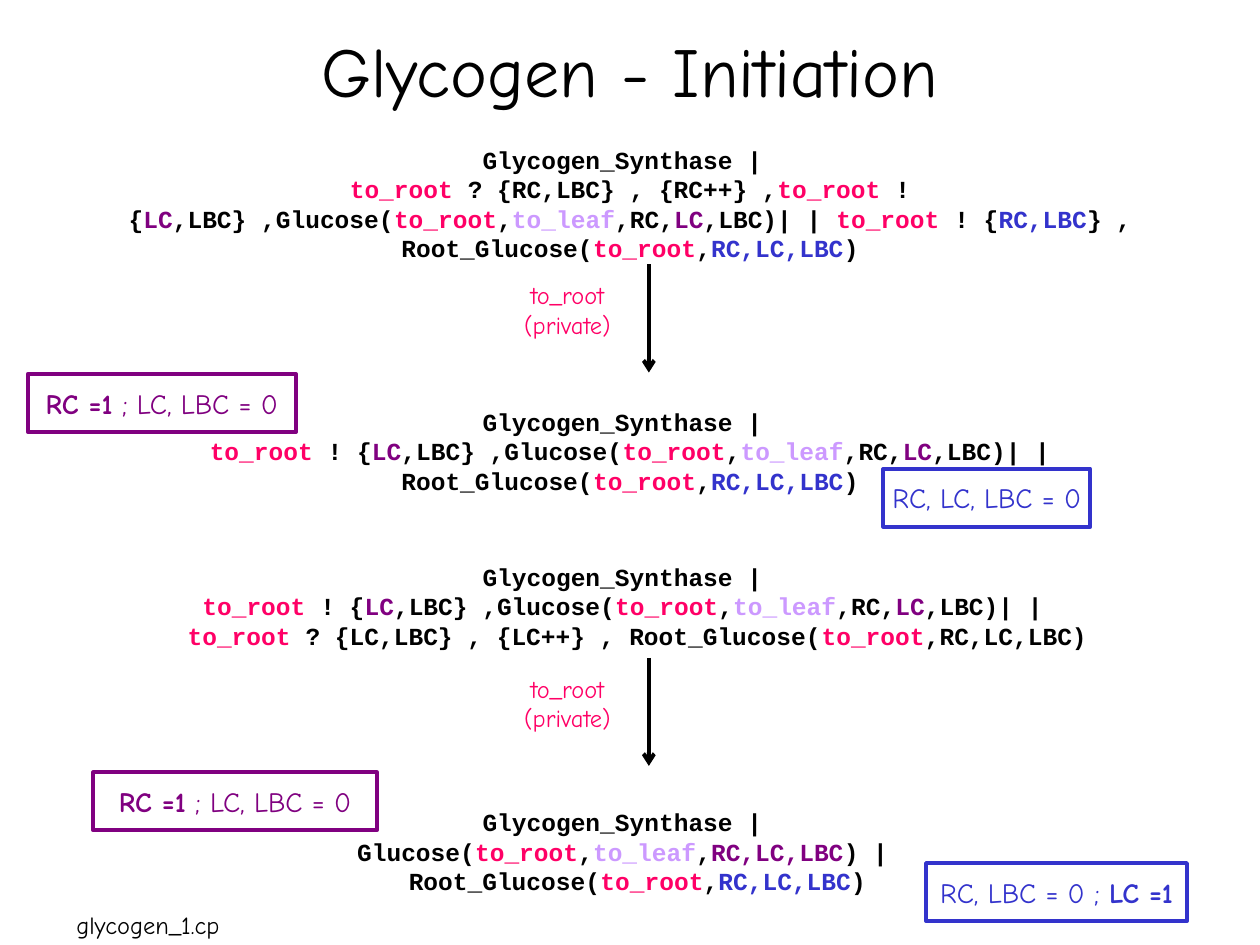
from typing import NamedTuple

from lxml.etree import SubElement
from pptx import Presentation
from pptx.dml.color import RGBColor
from pptx.enum.shapes import MSO_CONNECTOR, MSO_SHAPE
from pptx.enum.text import MSO_ANCHOR, MSO_AUTO_SIZE, PP_ALIGN
from pptx.oxml.ns import qn
from pptx.util import Cm, Pt

BLACK, WHITE = "000000", "FFFFFF"
PINK, PURPLE, LAVENDER, BLUE = "FF0066", "800080", "CC99FF", "3333CC"


class Span(NamedTuple):
    """A piece of text that differs from the rest of its paragraph."""
    text: str
    color: str
    bold: bool = False


def rgb(color):
    return RGBColor.from_string(color)


class ReactionSlide:
    text_font = "Comic Neue"
    code_font = "Courier New"
    line_width = Pt(2.25)

    def __init__(self, presentation):
        self.slide = presentation.slides.add_slide(presentation.slide_layouts[6])

    def fill_text(self, shape, spans, size, color, font=text_font, bold=False, wrap=False):
        """Fill a shape with one centred paragraph; a newline is a line break."""
        frame = shape.text_frame
        frame.word_wrap = wrap
        frame.vertical_anchor = MSO_ANCHOR.MIDDLE
        paragraph = frame.paragraphs[0]
        paragraph.alignment = PP_ALIGN.CENTER
        paragraph.font.name = font
        paragraph.font.size = Pt(size)
        paragraph.font.bold = bold
        paragraph.font.color.rgb = rgb(color)
        for span in spans:
            if isinstance(span, str):
                span = Span(span, color)
            for number, line in enumerate(span.text.split("\n")):
                if number:
                    paragraph.add_line_break()
                if line:
                    run = paragraph.add_run()
                    run.text = line
                    run.font.color.rgb = rgb(span.color)
                    if span.bold:
                        run.font.bold = True

    def text(self, left, top, width, height, spans, size=14, color=BLACK, **style):
        box = self.slide.shapes.add_textbox(Cm(left), Cm(top), Cm(width), Cm(height))
        self.fill_text(box, spans, size, color, **style)
        return box

    def code(self, top, height, spans):
        box = self.text(0, top, 25.4, height, spans,
                        font=self.code_font, bold=True, wrap=True)
        box.text_frame.auto_size = MSO_AUTO_SIZE.SHAPE_TO_FIT_TEXT

    def state(self, left, top, width, spans, color):
        """Draw a framed box with counter values."""
        box = self.slide.shapes.add_shape(
            MSO_SHAPE.RECTANGLE, Cm(left), Cm(top), Cm(width), Cm(1.17))
        box.shadow.inherit = False
        box.fill.solid()
        box.fill.fore_color.rgb = rgb(WHITE)
        box.line.color.rgb = rgb(color)
        box.line.width = self.line_width
        self.fill_text(box, spans, 16, color)

    def step(self, top):
        """Draw a downward arrow with its channel label."""
        arrow = self.slide.shapes.add_connector(
            MSO_CONNECTOR.STRAIGHT, Cm(13.08), Cm(top), Cm(13.08), Cm(top + 2.18))
        arrow.line.color.rgb = rgb(BLACK)
        arrow.line.width = self.line_width
        properties = arrow._element.spPr
        SubElement(properties.get_or_add_ln(), qn("a:tailEnd"), type="arrow")
        SubElement(properties, qn("a:effectLst"))
        self.text(10.31, top + 0.19, 2.26, 1.45, ["to_root\n(private)"], color=PINK)


def main():
    presentation = Presentation()
    presentation.slide_width = Cm(25.4)
    presentation.slide_height = Cm(19.05)
    slide = ReactionSlide(presentation)

    root = Span("to_root", PINK)
    leaf = Span("to_leaf", LAVENDER)
    left_count = Span("LC", PURPLE)
    root_counts = Span("RC,LC,LBC", BLUE)
    synthase = "Glycogen_Synthase | \n"
    sending_glucose = [root, " ! {", left_count, ",LBC} ,Glucose(", root, ",", leaf,
                       ",RC,", left_count, ",LBC)| | "]
    root_glucose = ["Root_Glucose(", root, ",", root_counts, ")"]
    right_bound = [Span("RC =1", PURPLE, True), " ; LC, LBC = 0"]

    slide.text(1.9, -0.18, 21.59, 3.18, ["Glycogen - Initiation"], size=40, wrap=True)

    slide.code(2.79, 2.64, [synthase, root, " ? {RC,LBC} , {RC++} ,", *sending_glucose,
                            root, " ! {", Span("RC,LBC", BLUE), "} , ", *root_glucose])
    slide.step(5.33)
    slide.code(8.08, 2.03, [synthase, *sending_glucose, *root_glucose])
    slide.state(17.81, 9.45, 4.17, ["RC, LC, LBC = 0"], BLUE)
    slide.state(0.56, 7.54, 5.41, right_bound, PURPLE)

    slide.code(11.2, 2.03, [synthase, *sending_glucose, "\n ", root,
                            " ? {LC,LBC} , {LC++} , Root_Glucose(", root, ",RC,LC,LBC)"])
    slide.step(13.26)
    slide.code(16.15, 2.03, [synthase, "Glucose(", root, ",", leaf, ",",
                             Span("RC,LC,LBC", PURPLE), ") | \n ", *root_glucose])
    slide.state(18.67, 17.4, 5.26, ["RC, LBC = 0 ; ", Span("LC =1", BLUE, True)], BLUE)
    slide.state(1.88, 15.57, 5.72, right_bound, PURPLE)

    slide.text(0, 18.24, 5.97, 0.81, ["glycogen_1.cp"])
    presentation.save("out.pptx")


if __name__ == "__main__":
    main()
